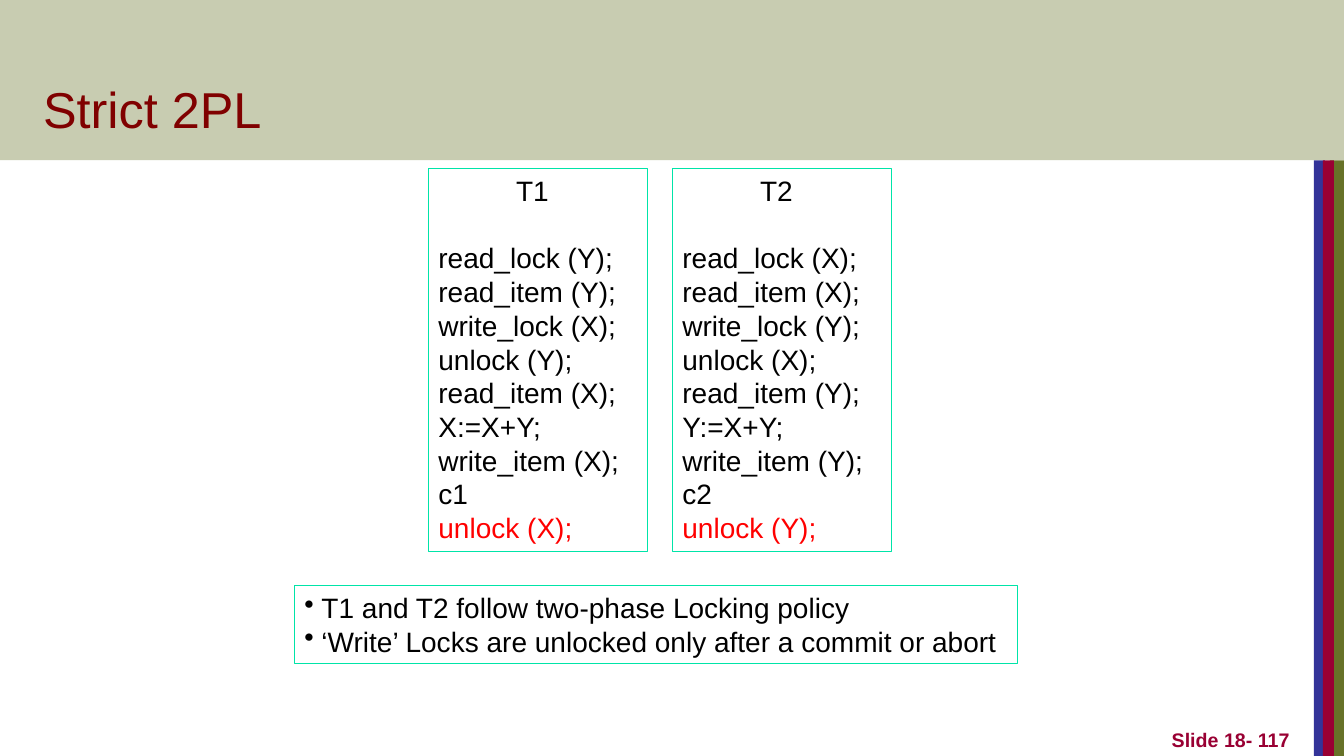
from dataclasses import dataclass

import pptx
import pptx.dml.color
import pptx.enum.shapes
import pptx.enum.text
import pptx.oxml.ns
import pptx.util
from lxml import etree

Inches = pptx.util.Inches
Pt = pptx.util.Pt
Anchor = pptx.enum.text.MSO_ANCHOR
Align = pptx.enum.text.PP_ALIGN


@dataclass
class Band:
    left: float
    top: float
    width: float
    height: float
    color: str
    opacity: int = 100


@dataclass
class Transaction:
    name: str
    left: float
    first: str   # item that is read first
    second: str  # item that is read, then written
    commit: str

    def steps(self) -> list[str]:
        a, b = self.first, self.second
        return [f"read_lock ({a});", f"read_item ({a});", f"write_lock ({b});",
                f"unlock ({a});", f"read_item ({b});",
                f"{b}:=X+Y; write_item ({b});", self.commit, f"unlock ({b});"]


BANDS = [
    Band(13.19, 1.59, 0.15, 5.91, "677228"),
    Band(13.03, 1.59, 0.11, 5.91, "333399"),
    Band(13.12, 1.59, 0.11, 5.91, "990033"),
    Band(0, 0, 13.33, 1.59, "677228", 36),
]
TRANSACTIONS = [
    Transaction("T1", 4.25, "Y", "X", "c1"),
    Transaction("T2", 6.67, "X", "Y", "c2"),
]
NOTES = [
    "T1 and T2 follow two-phase Locking policy",
    "‘Write’ Locks are unlocked only after a commit or abort",
]


def rgb(color: str) -> pptx.dml.color.RGBColor:
    return pptx.dml.color.RGBColor.from_string(color)


def add_rect(s, left: float, top: float, width: float, height: float):
    sp = s.shapes.add_shape(pptx.enum.shapes.MSO_SHAPE.RECTANGLE, Inches(left),
                            Inches(top), Inches(width), Inches(height))
    sp.shadow.inherit = False
    return sp


def add_band(s, band: Band) -> None:
    sp = add_rect(s, band.left, band.top, band.width, band.height)
    sp.fill.solid()
    sp.fill.fore_color.rgb = rgb(band.color)
    sp.line.fill.background()
    if band.opacity < 100:
        qn = pptx.oxml.ns.qn
        clr = sp.fill._xPr.find(qn("a:solidFill")).find(qn("a:srgbClr"))
        etree.SubElement(clr, qn("a:alpha"), val=str(band.opacity * 1000))


def add_frame(s, left: float, top: float, width: float, height: float):
    """Add an outlined box and return its text frame."""
    sp = add_rect(s, left, top, width, height)
    sp.fill.background()
    sp.line.color.rgb = rgb("00E4A8")
    sp.line.width = Pt(0.75)
    tf = sp.text_frame
    tf.word_wrap = True
    tf.vertical_anchor = Anchor.TOP
    return tf


def style(p, size: int, color: str, bold: bool = False,
          align=Align.LEFT) -> None:
    p.alignment = align
    p.font.name = "Arial"
    p.font.size = Pt(size)
    p.font.bold = bold
    p.font.color.rgb = rgb(color)


def write_lines(tf, lines: list[str]) -> list:
    tf.text = "\n".join(lines)
    for p in tf.paragraphs:
        p.line_spacing = Pt(24.1)
        style(p, 20, "000000")
    return list(tf.paragraphs)


def add_transaction(s, t: Transaction) -> None:
    tf = add_frame(s, t.left, 1.67, 2.17, 3.8)
    heading, *_, last = write_lines(tf, [t.name, *t.steps()])
    heading._p.get_or_add_pPr().set("marL", str(Inches(0.77)))
    heading.space_after = Pt(24.1)
    last.font.color.rgb = rgb("FF0000")


def add_notes(s) -> None:
    tf = add_frame(s, 2.92, 5.81, 7.17, 0.77)
    for p in write_lines(tf, NOTES):
        pPr = p._p.get_or_add_pPr()
        pPr.set("marL", str(Inches(0.17)))
        pPr.set("indent", str(-Inches(0.17)))
        bullet = etree.Element(pptx.oxml.ns.qn("a:buChar"), char="•")
        pPr.find(pptx.oxml.ns.qn("a:defRPr")).addprevious(bullet)


def add_label(s, text: str, left: float, top: float, width: float,
              height: float, **font) -> None:
    tf = s.shapes.add_textbox(Inches(left), Inches(top), Inches(width),
                              Inches(height)).text_frame
    tf.word_wrap = True
    tf.vertical_anchor = Anchor.BOTTOM
    tf.text = text
    style(tf.paragraphs[0], **font)


def main() -> None:
    prs = pptx.Presentation()
    prs.slide_width, prs.slide_height = Inches(13.33), Inches(7.5)
    s = prs.slides.add_slide(prs.slide_layouts[6])
    for band in BANDS:
        add_band(s, band)
    add_label(s, "Strict 2PL", 0.33, 0.33, 11.37, 1.09, size=36, color="800000")
    add_label(s, "Slide 18- 117", 10.11, 7, 2.78, 0.5, size=14, color="990033",
              bold=True, align=Align.RIGHT)
    add_notes(s)
    for t in TRANSACTIONS:
        add_transaction(s, t)
    prs.save("out.pptx")


if __name__ == "__main__":
    main()
